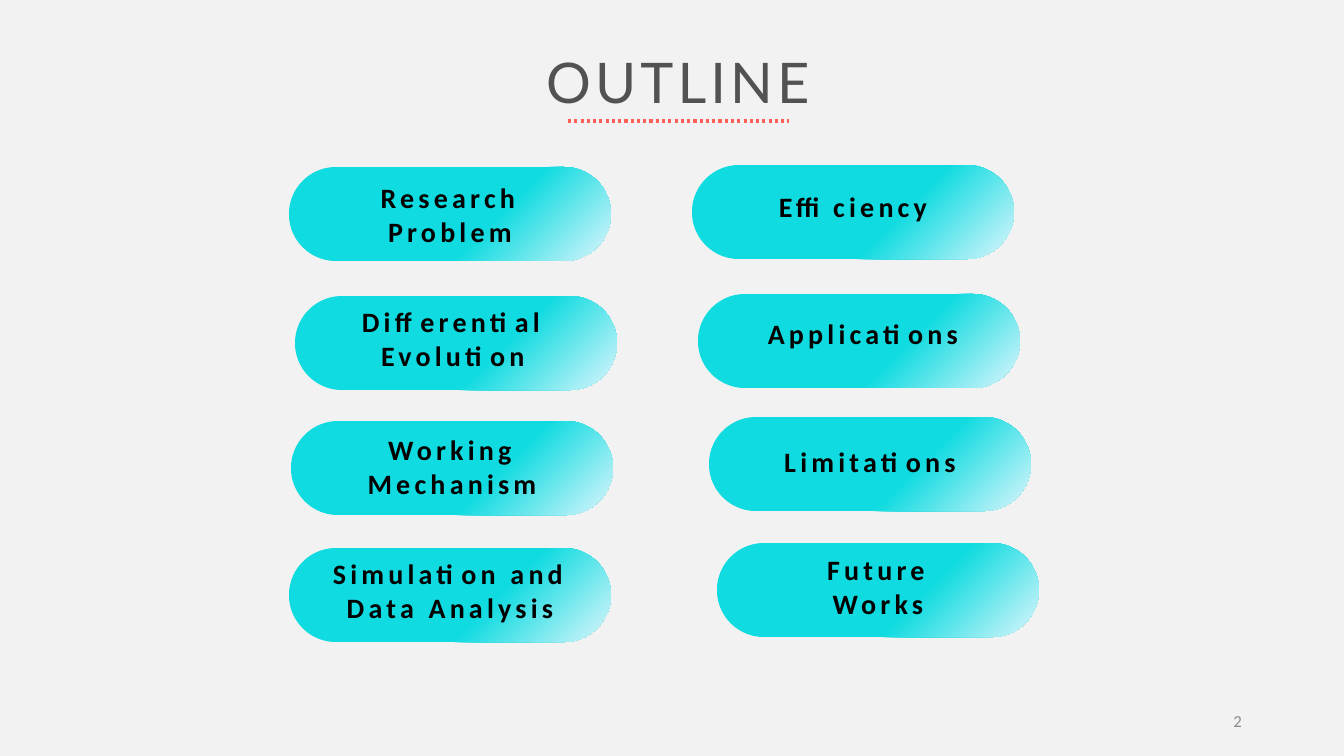
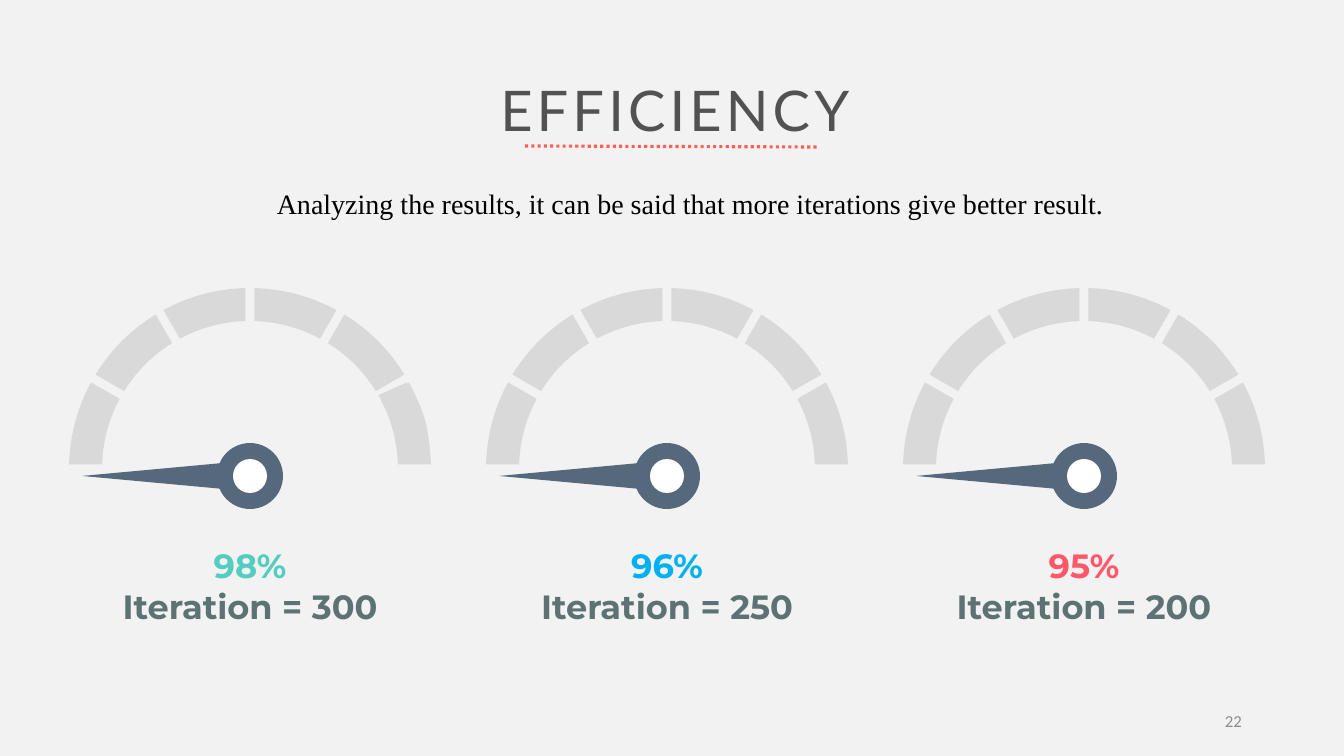
from math import asin, cos, radians, sin

from lxml.etree import SubElement
from pptx import Presentation
from pptx.dml.color import RGBColor
from pptx.enum.dml import MSO_LINE
from pptx.enum.shapes import MSO_CONNECTOR, MSO_SHAPE
from pptx.enum.text import MSO_ANCHOR, MSO_AUTO_SIZE, PP_ALIGN
from pptx.oxml.ns import qn
from pptx.util import Pt

EMU_PER_PIXEL = 914400 / 100.8

BACKGROUND = RGBColor(0xF2, 0xF2, 0xF2)
TITLE_GRAY = RGBColor(0x52, 0x52, 0x52)
NUMBER_GRAY = RGBColor(0x8C, 0x8C, 0x8C)
CORAL = RGBColor(0xFF, 0x60, 0x56)
CYAN = RGBColor(0x10, 0xDB, 0xE0)
PALE_CYAN = RGBColor(0xDD, 0xF6, 0xFC)
DIAL_GRAY = RGBColor(0xD9, 0xD9, 0xD9)
NEEDLE_BLUE = RGBColor(0x55, 0x68, 0x7C)
CAPTION_GREEN = RGBColor(0x5D, 0x73, 0x73)
TEAL = RGBColor(0x52, 0xCD, 0xC0)
SKY = RGBColor(0x00, 0xB0, 0xF0)
ROSE = RGBColor(0xFF, 0x59, 0x69)
WHITE = RGBColor(0xFF, 0xFF, 0xFF)
BLACK = RGBColor(0, 0, 0)

DIAL_Y = 469
OUTER_RADIUS = 181
INNER_RADIUS = 148
HALF_GAP = 4.5
SEGMENT_ANGLE = 30
ARC_STEPS = 12
HUB_Y = 476


def px(length):
    return round(length * EMU_PER_PIXEL)


def polar(x, y, radius, angle):
    return x + radius * cos(angle), y - radius * sin(angle)


def dial_segment(center_x, index):
    points = []
    for radius in (OUTER_RADIUS, INNER_RADIUS):
        inset = asin(HALF_GAP / radius)
        start = radians(index * SEGMENT_ANGLE) + inset
        sweep = radians(SEGMENT_ANGLE) - 2 * inset
        arc = [polar(center_x, DIAL_Y, radius, start + sweep * step / ARC_STEPS)
               for step in range(ARC_STEPS + 1)]
        points += arc if radius == OUTER_RADIUS else arc[::-1]
    return points


class Deck:
    def __init__(self):
        self.presentation = Presentation()
        self.presentation.slide_width = px(1344)
        self.presentation.slide_height = px(756)
        fill = self.presentation.slide_master.background.fill
        fill.solid()
        fill.fore_color.rgb = BACKGROUND
        self.slide = None

    def add_slide(self, title, left, top, underline, number):
        layout = self.presentation.slide_layouts[5]
        self.slide = self.presentation.slides.add_slide(layout)
        heading = self.slide.shapes.title
        heading.left, heading.top = px(left), px(top)
        heading.width, heading.height = px(822), px(78)
        self.set_text(heading, title, 40, "Lato", TITLE_GRAY, spacing=3)
        self.dotted_line(*underline)
        self.text(number, 950, 701, 302, 40, 12, "Calibri", NUMBER_GRAY,
                  align=PP_ALIGN.RIGHT, anchor=MSO_ANCHOR.MIDDLE)

    def set_text(self, shape, words, size, font, color, bold=False, spacing=0,
                 align=PP_ALIGN.CENTER, anchor=MSO_ANCHOR.TOP):
        frame = shape.text_frame
        frame.text = words
        frame.word_wrap = True
        frame.auto_size = (MSO_AUTO_SIZE.SHAPE_TO_FIT_TEXT
                           if anchor == MSO_ANCHOR.TOP else MSO_AUTO_SIZE.NONE)
        frame.vertical_anchor = anchor
        paragraph = frame.paragraphs[0]
        paragraph.alignment = align
        run = paragraph.runs[0]
        run.font.size = Pt(size)
        run.font.name = font
        run.font.bold = bold
        run.font.color.rgb = color
        if spacing:
            run._r.get_or_add_rPr().set("spc", str(spacing * 100))

    def text(self, words, left, top, width, height, size, font, color, **style):
        box = self.slide.shapes.add_textbox(px(left), px(top), px(width), px(height))
        self.set_text(box, words, size, font, color, **style)

    def dotted_line(self, x1, y1, x2, y2):
        line = self.slide.shapes.add_connector(
            MSO_CONNECTOR.STRAIGHT, px(x1), px(y1), px(x2), px(y2))
        line.line.color.rgb = CORAL
        line.line.width = Pt(2.25)
        line.line.dash_style = MSO_LINE.ROUND_DOT
        SubElement(line._element.spPr, qn("a:effectLst"))

    def paint(self, shape, color):
        shape.shadow.inherit = False
        shape.line.fill.background()
        shape.fill.solid()
        shape.fill.fore_color.rgb = color

    def shape(self, preset, left, top, width, height, color):
        shape = self.slide.shapes.add_shape(
            preset, px(left), px(top), px(width), px(height))
        self.paint(shape, color)
        return shape

    def outline(self, points, color):
        corners = [(px(x), px(y)) for x, y in points]
        builder = self.slide.shapes.build_freeform(*corners[0])
        builder.add_line_segments(corners[1:])
        self.paint(builder.convert_to_shape(), color)

    def pill(self, left, top):
        pill = self.shape(MSO_SHAPE.ROUNDED_RECTANGLE, left, top, 322, 94, CYAN)
        pill.adjustments[0] = 0.5
        pill.fill.gradient()
        pill.fill.gradient_angle = 315
        stops = pill.fill.gradient_stops
        for stop, color, position in zip(stops, (CYAN, PALE_CYAN), (0.62, 1)):
            stop.color.rgb = color
            stop.position = position

    def gauge(self, center_x):
        for index in range(6):
            self.outline(dial_segment(center_x, index), DIAL_GRAY)
        donut = self.shape(MSO_SHAPE.DONUT, center_x - 33, HUB_Y - 33, 66, 66,
                           NEEDLE_BLUE)
        donut.adjustments[0] = 0.42
        cap = [polar(center_x - 5, HUB_Y, 15, radians(angle))
               for angle in range(90, -91, -15)]
        self.outline([(center_x - 168, HUB_Y)] + cap, NEEDLE_BLUE)
        self.shape(MSO_SHAPE.OVAL, center_x - 17, HUB_Y - 17, 34, 34, WHITE)

    def result(self, center_x, percent, iterations, color):
        self.text(percent, center_x - 123, 540, 246, 50, 24, "Montserrat", color,
                  bold=True)
        self.text(f"Iteration = {iterations}", center_x - 171, 581, 342, 50, 24,
                  "Montserrat", CAPTION_GREEN, bold=True)


deck = Deck()

deck.add_slide("OUTLINE", 267, 42, (568, 121, 789, 121), "2")
topics = [
    ("Research Problem", 289, 167, 339, 176, 222, 78),
    ("Differential Evolution", 295, 296, 342, 300, 222, 78),
    ("Working Mechanism", 291, 421, 341, 428, 222, 78),
    ("Simulation and Data Analysis", 289, 548, 306, 552, 288, 78),
    ("Efficiency", 692, 165, 742, 185, 222, 44),
    ("Applications", 698, 294, 752, 312, 222, 44),
    ("Limitations", 709, 417, 751, 440, 238, 44),
    ("Future Works", 717, 543, 767, 548, 222, 78),
]
for topic, pill_left, pill_top, *text_area in topics:
    deck.pill(pill_left, pill_top)
    deck.text(topic, *text_area, 20, "Calibri", BLACK, bold=True, spacing=3)

deck.add_slide("EFFICIENCY", 264, 70, (525, 146, 817, 147), "22")
deck.text("Analyzing the results, it can be said that more iterations give better result.",
          128, 182, 1125, 44, 20, "Times New Roman", BLACK)
results = [("98%", 300, TEAL), ("96%", 250, SKY), ("95%", 200, ROSE)]
for column, (percent, iterations, color) in enumerate(results):
    center_x = 250 + 417 * column
    deck.gauge(center_x)
    deck.result(center_x, percent, iterations, color)

right_segment = dial_segment(250, 0)
segment_top = min(y for x, y in right_segment)
deck.outline([(x - 2, segment_top + (y - segment_top) * 0.77)
              for x, y in right_segment], DIAL_GRAY)

deck.presentation.save("out.pptx")
